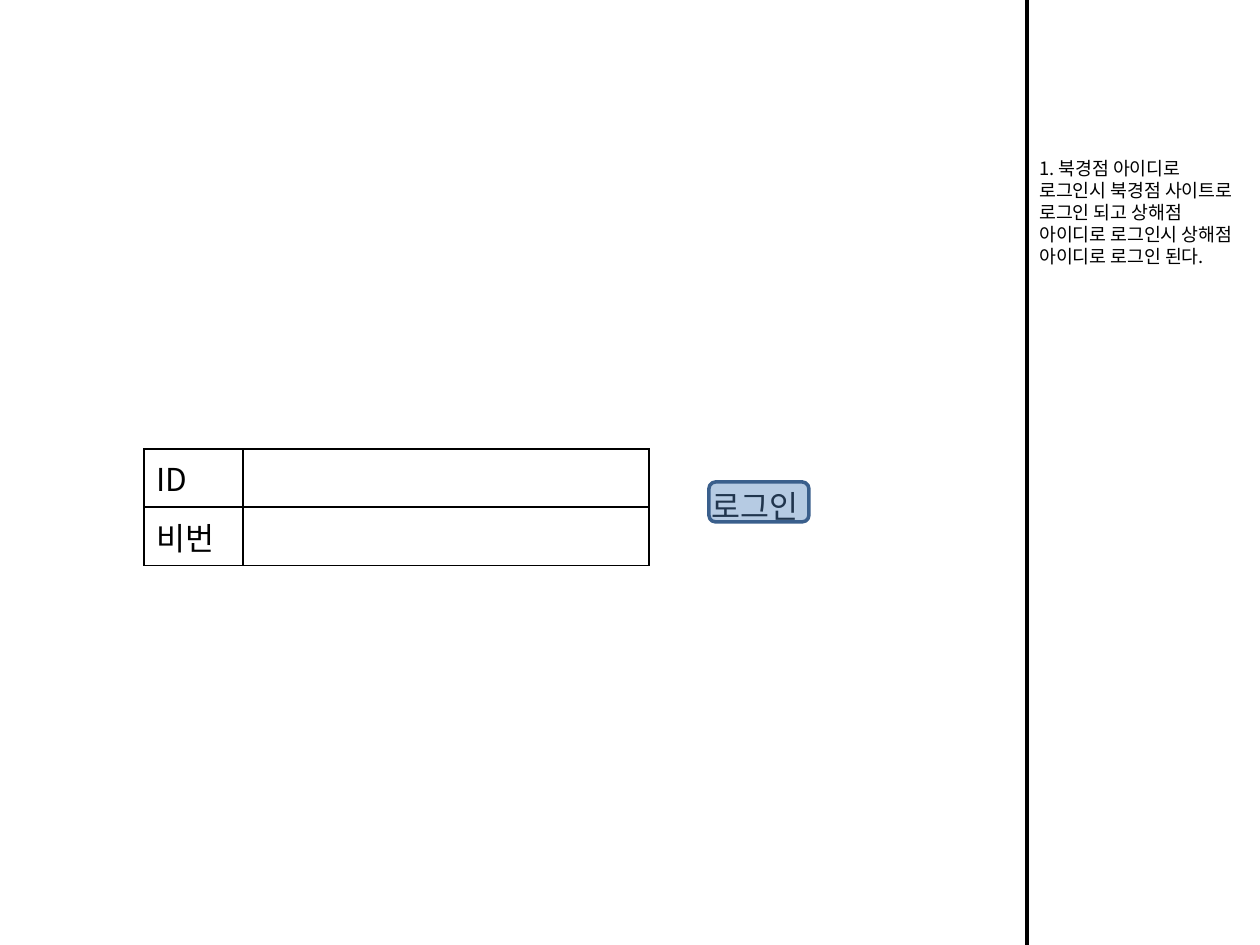
import pptx
import pptx.util
import pptx.dml.color
import pptx.enum.shapes
import pptx.enum.text
import pptx.oxml.ns
import lxml.etree

PX = 914400 // 126
FONT = "Noto Sans CJK KR"
qn = pptx.oxml.ns.qn
sub = lxml.etree.SubElement


def rgb(value):
    """Turn a hex string into a colour."""
    return pptx.dml.color.RGBColor.from_string(value)


def write(tf, text, size):
    """Add one black run in the slide font, Latin and East Asian."""
    r = tf.paragraphs[0].add_run()
    r.text = text
    r.font.size = pptx.util.Pt(size)
    r.font.name = FONT
    r.font.color.rgb = rgb("000000")
    sub(r.font._element, qn("a:ea"), typeface=FONT)


prs = pptx.Presentation()
prs.slide_width = pptx.util.Inches(10)
prs.slide_height = pptx.util.Inches(7.5)
s = prs.slides.add_slide(prs.slide_layouts[6])

# Login form
labels = ["ID", "비번"]
widths = [99, 406]
row_height = 51
frame = s.shapes.add_table(len(labels), len(widths), 144 * PX, 449 * PX,
                           sum(widths) * PX, len(labels) * row_height * PX)
table = frame.table
table.first_row = False
table.horz_banding = False
for column, width in zip(table.columns, widths):
    column.width = width * PX
for row, label in zip(table.rows, labels):
    row.height = row_height * PX
    write(row.cells[0].text_frame, label, 18)
    for cell in row.cells:
        tcPr = cell._tc.get_or_add_tcPr()
        for side in ("lnL", "lnR", "lnT", "lnB"):
            ln = sub(tcPr, qn("a:" + side), w=str(pptx.util.Pt(1)))
            fill = sub(ln, qn("a:solidFill"))
            sub(fill, qn("a:srgbClr"), val="000000")
        cell.fill.background()

# Login button: caption under a translucent frame
texts = [
    (699, 481, 149, 50, "로그인", 18),
    (1027, 151, 233, 123,
     "1. 북경점 아이디로 로그인시 북경점 사이트로 로그인 되고 상해점 "
     "아이디로 로그인시 상해점 아이디로 로그인 된다.", 10.5),
]
for x, y, w, h, text, size in texts:
    tf = s.shapes.add_textbox(x * PX, y * PX, w * PX, h * PX).text_frame
    tf.word_wrap = True
    tf.auto_size = pptx.enum.text.MSO_AUTO_SIZE.SHAPE_TO_FIT_TEXT
    write(tf, text, size)

button = s.shapes.add_shape(pptx.enum.shapes.MSO_SHAPE.ROUNDED_RECTANGLE,
                            709 * PX, 482 * PX, 100 * PX, 40 * PX)
button.shadow.inherit = False
button.fill.solid()
button.fill.fore_color.rgb = rgb("4F81BD")
color = button._element.spPr.find(qn("a:solidFill")).find(qn("a:srgbClr"))
sub(color, qn("a:alpha"), val="41000")
button.line.color.rgb = rgb("3A5F8C")
button.line.width = pptx.util.Pt(2)

# Divider beside the notes column
divider = s.shapes.add_connector(pptx.enum.shapes.MSO_CONNECTOR.STRAIGHT,
                                 1027 * PX, 0, 1027 * PX, 945 * PX)
divider.line.color.rgb = rgb("000000")
divider.line.width = pptx.util.Pt(2.5)
sub(divider._element.spPr, qn("a:effectLst"))

prs.save("out.pptx")
